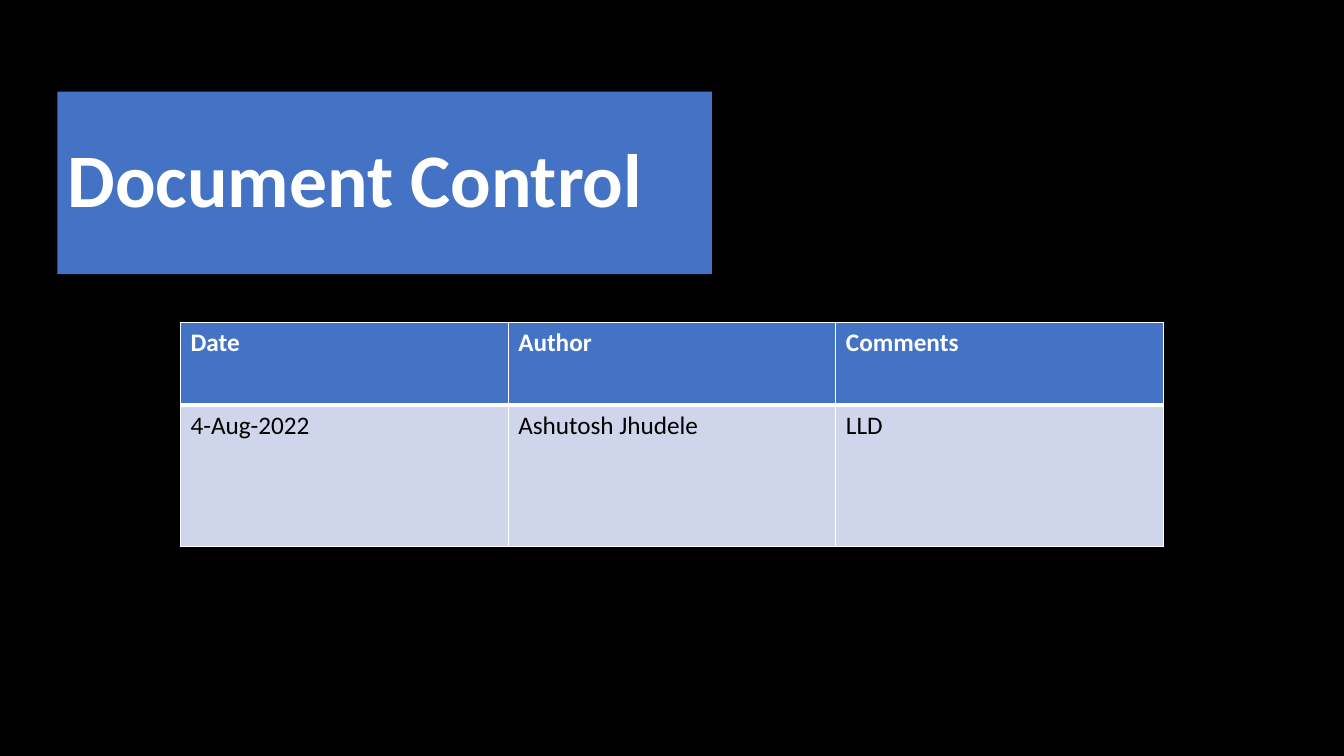
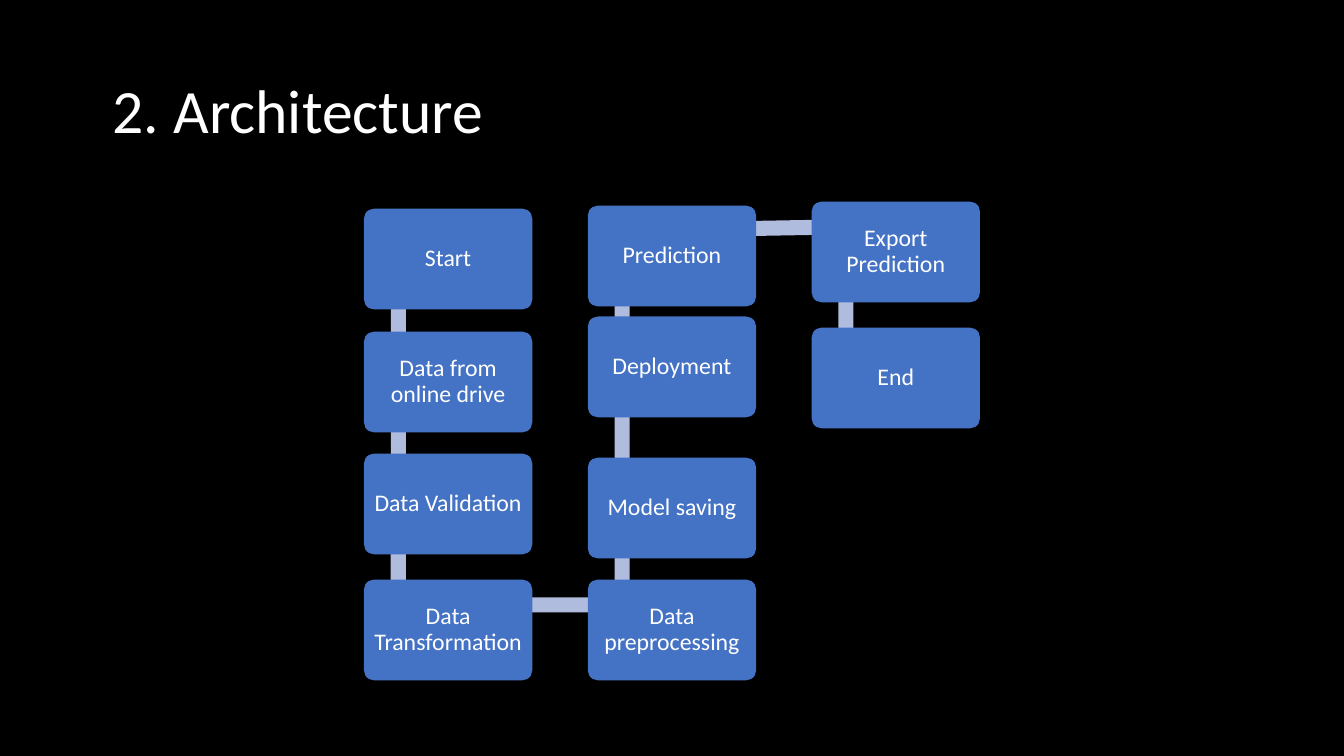
import math

from lxml import etree
from pptx import Presentation
from pptx.dml.color import RGBColor
from pptx.enum import shapes, text
from pptx.oxml import ns
from pptx.util import Inches, Pt

BLACK = RGBColor(0x00, 0x00, 0x00)
WHITE = RGBColor(0xFF, 0xFF, 0xFF)
BLUE = RGBColor(0x44, 0x72, 0xC4)
PALE_BLUE = RGBColor(0xCF, 0xD5, 0xEA)
LINK_BLUE = RGBColor(0xB0, 0xBC, 0xDE)
FONT = "Calibri"

prs = Presentation()
prs.slide_width, prs.slide_height = Inches(13.33), Inches(7.5)
blank = prs.slide_layouts[6]


def write(tf, words, size, color=WHITE, bold=False, align=text.PP_ALIGN.LEFT, spacing=0.9):
    tf.word_wrap = True
    p = tf.paragraphs[0]
    p.text = words
    p.alignment = align
    p.line_spacing = spacing
    p.font.name, p.font.size, p.font.bold = FONT, Pt(size), bold
    p.font.color.rgb = color


def add_block(s, kind, box, color):
    sp = s.shapes.add_shape(kind, *[Inches(v) for v in box])
    sp.shadow.inherit = False
    sp.fill.solid()
    sp.fill.fore_color.rgb = color
    sp.line.fill.background()
    sp.text_frame.vertical_anchor = text.MSO_ANCHOR.MIDDLE
    return sp


# Black slides with their titles: words, box, size, bold, fill
titles = [
    ("Document Control", (0.57, 0.91, 6.49, 1.81), 54, True, BLUE),
    ("2. Architecture", (1.02, 0.4, 11.39, 1.45), 44, False, None),
]
for words, box, size, bold, fill in titles:
    s = prs.slides.add_slide(blank)
    s.background.fill.solid()
    s.background.fill.fore_color.rgb = BLACK
    title = s.shapes.add_textbox(*[Inches(v) for v in box])
    title.text_frame.vertical_anchor = text.MSO_ANCHOR.MIDDLE
    write(title.text_frame, words, size, bold=bold)
    if fill is not None:
        title.fill.solid()
        title.fill.fore_color.rgb = fill
control, architecture = prs.slides

# Slide 1: revision table
rows = [("Date", "Author", "Comments"), ("4-Aug-2022", "Ashutosh Jhudele", "LLD")]
row_heights = [0.82, 1.4]
table = control.shapes.add_table(
    2, 3, Inches(1.79), Inches(3.2), Inches(9.75), Inches(sum(row_heights))).table
for r, (values, height) in enumerate(zip(rows, row_heights)):
    header = r == 0
    table.rows[r].height = Inches(height)
    borders = {"lnL": 1, "lnR": 1, "lnT": 1, "lnB": 3 if header else 1}
    for c, value in enumerate(values):
        cell = table.cell(r, c)
        cell.fill.solid()
        cell.fill.fore_color.rgb = BLUE if header else PALE_BLUE
        write(cell.text_frame, value, 18, WHITE if header else BLACK, bold=header, spacing=1.0)
        # Cell borders come before the fill
        tc_pr = cell._tc.get_or_add_tcPr()
        for i, (side, width) in enumerate(borders.items()):
            ln = etree.Element(ns.qn("a:" + side), w=str(Pt(width)))
            line_fill = etree.SubElement(ln, ns.qn("a:solidFill"))
            etree.SubElement(line_fill, ns.qn("a:srgbClr"), val=str(WHITE))
            tc_pr.insert(i, ln)

# Slide 2: steps in flow order: column, top, label
steps = [
    (0, 2.07, "Start"),
    (0, 3.29, "Data from online drive"),
    (0, 4.5, "Data Validation"),
    (0, 5.75, "Data Transformation"),
    (1, 5.75, "Data preprocessing"),
    (1, 4.54, "Model saving"),
    (1, 3.14, "Deployment"),
    (1, 2.04, "Prediction"),
    (2, 2.0, "Export Prediction"),
    (2, 3.25, "End"),
]
LEFT, PITCH = 3.61, 2.22
STEP_W, STEP_H = 1.67, 1.0
LINK_DX, LINK_DY, LINK_W = 0.34, 0.25, 0.15

# Links are bars turned from one step towards the next, behind the steps
points = [(LEFT + col * PITCH + LINK_DX, top + LINK_DY) for col, top, label in steps]
for (x1, y1), (x2, y2) in zip(points, points[1:]):
    length = math.hypot(x2 - x1, y2 - y1)
    box = ((x1 + x2 - length) / 2, (y1 + y2 - LINK_W) / 2, length, LINK_W)
    link = add_block(architecture, shapes.MSO_SHAPE.RECTANGLE, box, LINK_BLUE)
    link.rotation = math.degrees(math.atan2(y2 - y1, x2 - x1))

for col, top, label in steps:
    box = (LEFT + col * PITCH, top, STEP_W, STEP_H)
    step = add_block(architecture, shapes.MSO_SHAPE.ROUNDED_RECTANGLE, box, BLUE)
    step.adjustments[0] = 0.1
    tf = step.text_frame
    tf.margin_left = tf.margin_right = Inches(0.06)
    write(tf, label, 17, align=text.PP_ALIGN.CENTER)

prs.save("out.pptx")
